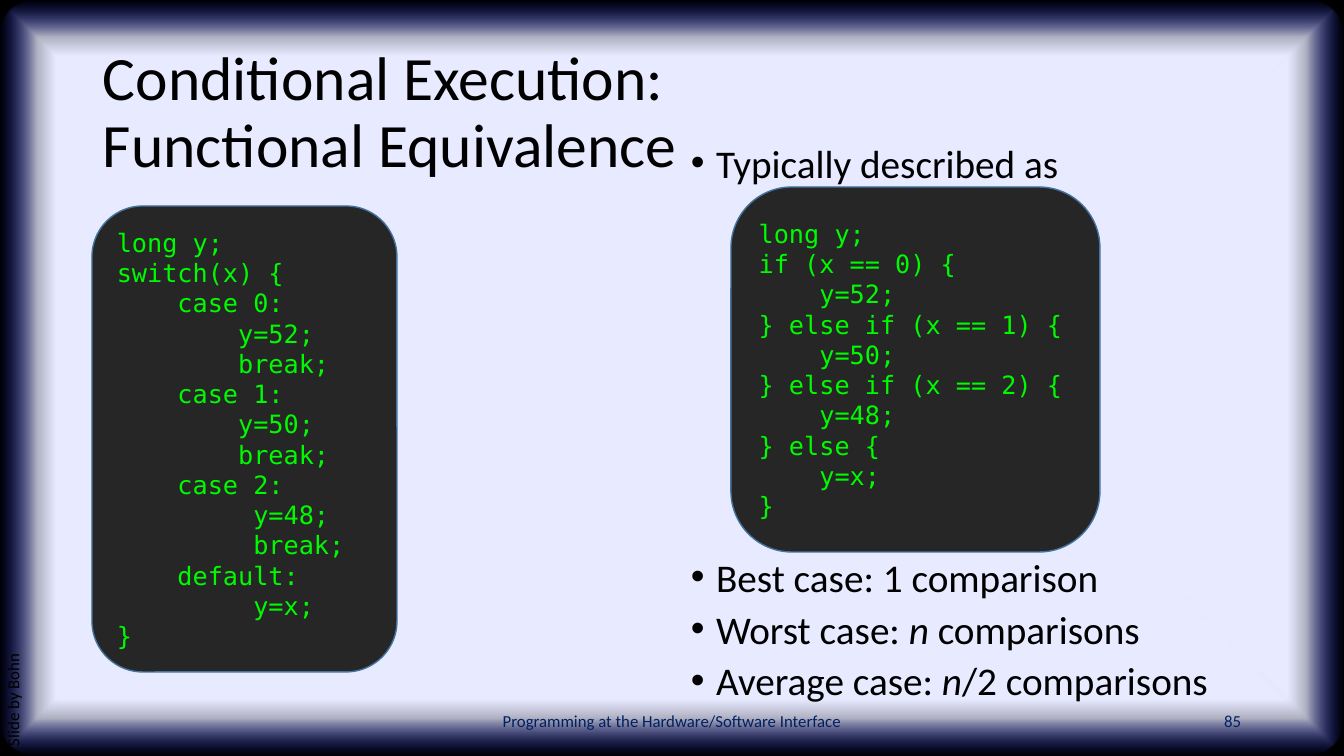
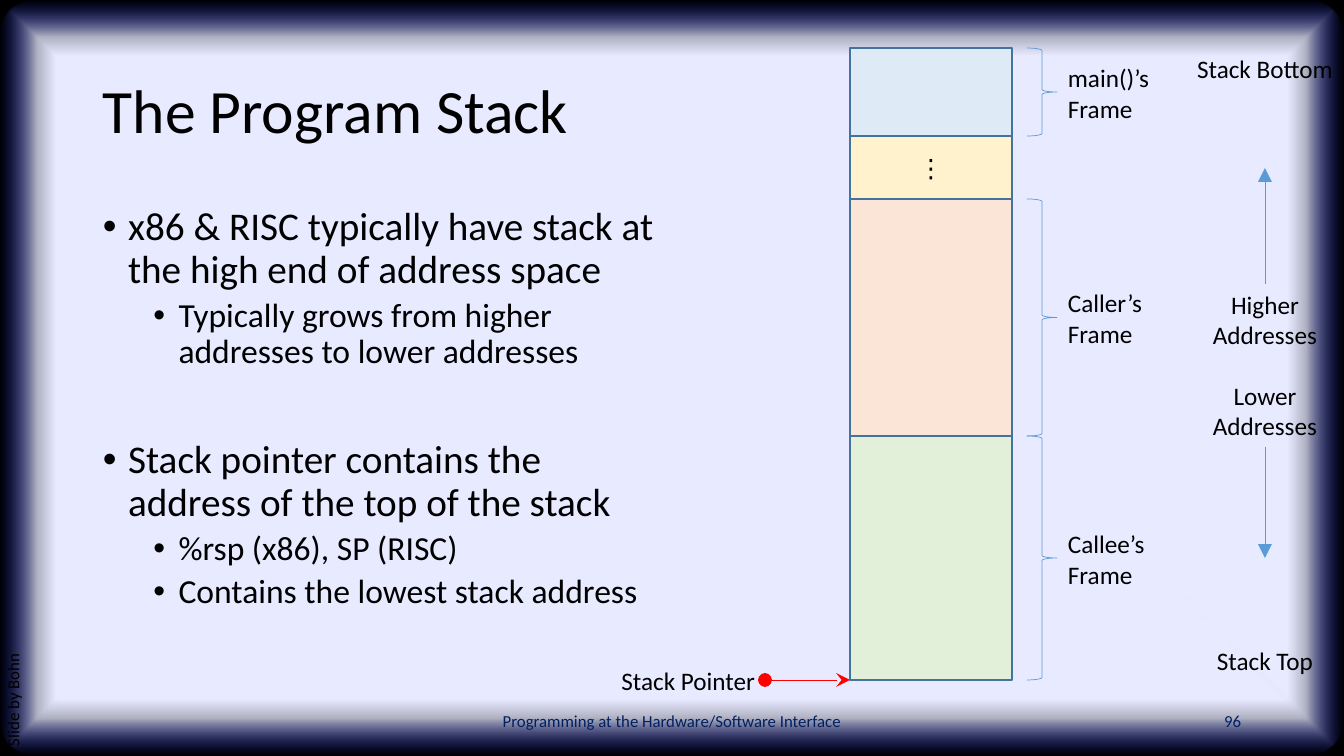
from dataclasses import dataclass
from itertools import accumulate
from typing import Optional

from lxml import etree
from pptx import Presentation
from pptx import util as u
from pptx.dml import color
from pptx.enum import shapes, text
from pptx.oxml import ns

EMU_PER_PX = 914400 / 100.8
SLIDE_W, SLIDE_H = 1344, 756
LEFT, CENTER, RIGHT = text.PP_ALIGN.LEFT, text.PP_ALIGN.CENTER, text.PP_ALIGN.RIGHT
TOP, MIDDLE = text.MSO_ANCHOR.TOP, text.MSO_ANCHOR.MIDDLE
SHAPE = shapes.MSO_SHAPE


@dataclass(frozen=True)
class Theme:
    font: str = "Calibri"
    code_font: str = "DejaVu Sans Mono"
    ink: str = "000000"
    footer_ink: str = "002060"
    page: str = "E8EAFF"
    page_edge: str = "162AFF"
    code_fill: str = "262626"
    code_ink: str = "00FA00"
    outline: str = "43739E"
    accent: str = "5B9BD5"
    pointer: str = "FF0000"
    title_pt: int = 44
    bullet_pts: tuple[int, int] = (28, 24)
    label_pt: int = 18
    small_pt: int = 12
    outline_pt: float = 1
    thin_pt: float = 0.5


THEME = Theme()


@dataclass(frozen=True)
class Box:
    left: int
    top: int
    width: int
    height: int

    def emu(self) -> list[int]:
        return [px(n) for n in (self.left, self.top, self.width, self.height)]


@dataclass(frozen=True)
class Style:
    size: int = THEME.label_pt
    ink: str = THEME.ink
    font: str = THEME.font
    align: text.PP_ALIGN = LEFT
    anchor: text.MSO_ANCHOR = MIDDLE
    spacing: Optional[float] = None


@dataclass(frozen=True)
class Bullet:
    """A bullet; words between asterisks are italic."""
    words: str
    level: int = 0
    before_pt: int = 10


@dataclass(frozen=True)
class Frame:
    height: int
    fill: str
    owner: str = ""
    mark: str = ""


@dataclass(frozen=True)
class Label:
    words: str
    top: int
    width: int
    height: int


@dataclass(frozen=True)
class Arrow:
    start: tuple[int, int]
    end: tuple[int, int]
    ink: str
    tail: str
    head: str = "none"


TITLE = Style(THEME.title_pt, spacing=0.9)
FOOTER = Style(THEME.small_pt, THEME.footer_ink, align=CENTER)
PAGE_NUMBER = Style(THEME.small_pt, THEME.footer_ink, align=RIGHT)
CREDIT = Style(THEME.small_pt, anchor=TOP, spacing=0.9)
CODE = Style(ink=THEME.code_ink, font=THEME.code_font)
CENTERED = Style(align=CENTER)

SWITCH_CODE = """long y;
switch(x) {
    case 0:
        y=52;
        break;
    case 1:
        y=50;
        break;
    case 2:
         y=48;
         break;
    default:
         y=x;
}"""

IF_CODE = """long y;
if (x == 0) {
    y=52;
} else if (x == 1) {
    y=50;
} else if (x == 2) {
    y=48;
} else {
    y=x;
}"""

COMPARISONS = [
    Bullet("Typically described as", before_pt=0),
    Bullet("Best case: 1 comparison", before_pt=269),
    Bullet("Worst case: *n* comparisons"),
    Bullet("Average case: *n*/2 comparisons"),
]

STACK_FACTS = [
    Bullet("x86 & RISC typically have stack at the high end of address space", before_pt=0),
    Bullet("Typically grows from higher addresses to lower addresses", 1, 5),
    Bullet("Stack pointer contains the address of the top of the stack", before_pt=49),
    Bullet("%rsp (x86), SP (RISC)", 1, 5),
    Bullet("Contains the lowest stack address", 1, 5),
]

STACK_LEFT, STACK_TOP, STACK_W = 850, 48, 162
FRAMES = [
    Frame(88, "DEEBF7", owner="main()’s\nFrame"),
    Frame(63, "FFF2CC", mark="⋮"),
    Frame(237, "FBE5D6", owner="Caller’s\nFrame"),
    Frame(244, "E2F0D9", owner="Callee’s\nFrame"),
]
STACK_END = STACK_TOP + sum(frame.height for frame in FRAMES)

ADDRESS_X = 1265
ADDRESS_LABELS = [
    Label("Stack Bottom", 48, 158, 40),
    Label("Higher\nAddresses", 284, 126, 72),
    Label("Lower\nAddresses", 375, 126, 72),
    Label("Stack Top", 640, 118, 40),
]
ARROWS = [
    Arrow((765, STACK_END), (STACK_LEFT, STACK_END), THEME.pointer, "stealth", "oval"),
    Arrow((ADDRESS_X, 284), (ADDRESS_X, 168), THEME.accent, "triangle"),
    Arrow((ADDRESS_X, 447), (ADDRESS_X, 558), THEME.accent, "triangle"),
]


def px(length: int) -> int:
    return round(length * EMU_PER_PX)


def rgb(value: str) -> color.RGBColor:
    return color.RGBColor.from_string(value)


def add_child(parent, tag: str, **attributes: str):
    return etree.SubElement(parent, ns.qn(tag), attributes)


def format_runs(paragraph, style: Style) -> None:
    paragraph.alignment = style.align
    if style.spacing:
        paragraph.line_spacing = style.spacing
    for run in paragraph.runs:
        run.font.name = style.font
        run.font.size = u.Pt(style.size)
        run.font.color.rgb = rgb(style.ink)


def write(shape, words: str, style: Style) -> None:
    """Fill a shape with one paragraph, or one per line for code."""
    frame = shape.text_frame
    frame.vertical_anchor = style.anchor
    if style is CODE:
        frame.text = words
    else:
        frame.paragraphs[0].text = words
    for paragraph in frame.paragraphs:
        format_runs(paragraph, style)


def add_text(slide, box: Box, words: str, style: Style, wrap: bool = True):
    area = slide.shapes.add_textbox(*box.emu())
    area.text_frame.word_wrap = wrap
    if not wrap:
        area.text_frame.auto_size = text.MSO_AUTO_SIZE.SHAPE_TO_FIT_TEXT
    write(area, words, style)
    return area


def add_shape(slide, kind: SHAPE, box: Box, fill: str = "", line: str = "",
              line_pt: float = THEME.outline_pt):
    shape = slide.shapes.add_shape(kind, *box.emu())
    shape.shadow.inherit = False
    if fill:
        shape.fill.solid()
        shape.fill.fore_color.rgb = rgb(fill)
    else:
        shape.fill.background()
    if line:
        shape.line.color.rgb = rgb(line)
        shape.line.width = u.Pt(line_pt)
    else:
        shape.line.fill.background()
    return shape


def fade_to_edge(shape) -> None:
    """Replace the empty fill by a gradient that turns transparent at the edge."""
    props = shape.element.spPr
    gradient = etree.Element(ns.qn("a:gradFill"), rotWithShape="1")
    stops = add_child(gradient, "a:gsLst")
    for percent, ink, alpha in ((85, THEME.page, 100), (90, THEME.page, 75),
                                (100, THEME.page_edge, 0)):
        stop = add_child(stops, "a:gs", pos=str(percent * 1000))
        add_child(add_child(stop, "a:srgbClr", val=ink), "a:alpha", val=str(alpha * 1000))
    shading = add_child(gradient, "a:path", path="shape")
    add_child(shading, "a:fillToRect", **dict.fromkeys("ltrb", "50000"))
    props.replace(props.find(ns.qn("a:noFill")), gradient)


def add_bullets(slide, box: Box, bullets: list[Bullet], spacing: float) -> None:
    frame = add_text(slide, box, "", Style(anchor=TOP)).text_frame
    for index, bullet in enumerate(bullets):
        paragraph = frame.add_paragraph() if index else frame.paragraphs[0]
        props = paragraph._p.get_or_add_pPr()
        props.set("marL", str(u.Inches(0.25 + 0.5 * bullet.level)))
        props.set("indent", str(-u.Inches(0.25)))
        add_child(props, "a:buFont", typeface="Arial")
        add_child(props, "a:buChar", char="•")
        paragraph.level = bullet.level
        paragraph.space_before = u.Pt(bullet.before_pt)
        for part, words in enumerate(bullet.words.split("*")):
            run = paragraph.add_run()
            run.text = words
            run.font.italic = part % 2 == 1
        format_runs(paragraph, Style(THEME.bullet_pts[bullet.level], spacing=spacing))


def add_arrow(slide, arrow: Arrow) -> None:
    ends = [px(n) for n in arrow.start + arrow.end]
    line = slide.shapes.add_connector(shapes.MSO_CONNECTOR.STRAIGHT, *ends)
    line.line.color.rgb = rgb(arrow.ink)
    line.line.width = u.Pt(THEME.thin_pt)
    props = line.element.spPr
    outline = props.find(ns.qn("a:ln"))
    add_child(outline, "a:headEnd", type=arrow.head, w="lg", len="lg")
    add_child(outline, "a:tailEnd", type=arrow.tail, w="lg", len="lg")
    add_child(props, "a:effectLst")


def add_code(slide, box: Box, code: str) -> None:
    panel = add_shape(slide, SHAPE.ROUNDED_RECTANGLE, box, THEME.code_fill, THEME.outline)
    write(panel, code, CODE)


def add_base_slide(deck, title: str, number: int):
    """Add a slide with the shared backdrop, title and footers."""
    slide = deck.slides.add_slide(deck.slide_layouts[6])
    whole = Box(0, 0, SLIDE_W, SLIDE_H)
    add_shape(slide, SHAPE.RECTANGLE, whole, THEME.ink)
    page = add_shape(slide, SHAPE.ROUNDED_RECTANGLE, whole)
    page.adjustments[0] = 0.05
    fade_to_edge(page)
    add_text(slide, Box(93, 41, 1160, 146), title, TITLE)
    add_text(slide, Box(445, 701, 454, 40),
             "Programming at the Hardware/Software Interface", FOOTER)
    add_text(slide, Box(949, 701, 302, 40), str(number), PAGE_NUMBER)
    add_text(slide, Box(-246, 470, 532, 40), "Slide by Bohn", CREDIT).rotation = 270
    return slide


def build_equivalence(deck) -> None:
    slide = add_base_slide(deck, "Conditional Execution:\nFunctional Equivalence", 85)
    add_bullets(slide, Box(681, 143, 572, 598), COMPARISONS, 0.8)
    add_code(slide, Box(92, 206, 305, 466), SWITCH_CODE)
    add_code(slide, Box(731, 187, 369, 365), IF_CODE)


def build_stack(deck) -> None:
    slide = add_base_slide(deck, "The Program Stack", 96)
    add_bullets(slide, Box(93, 202, 572, 480), STACK_FACTS, 0.9)
    tops = accumulate((frame.height for frame in FRAMES), initial=STACK_TOP)
    for frame, top in zip(FRAMES, tops):
        cell = add_shape(slide, SHAPE.RECTANGLE, Box(STACK_LEFT, top, STACK_W, frame.height),
                         frame.fill, THEME.outline)
        if frame.mark:
            write(cell, frame.mark, CENTERED)
        if frame.owner:
            add_shape(slide, SHAPE.RIGHT_BRACE, Box(1027, top, 30, frame.height),
                      line=THEME.accent, line_pt=THEME.thin_pt)
            add_text(slide, Box(1058, top + frame.height // 2 - 35, 120, 72),
                     frame.owner, Style())
    add_text(slide, Box(610, 660, 155, 40), "Stack Pointer", Style(align=RIGHT), wrap=False)
    for label in ADDRESS_LABELS:
        box = Box(ADDRESS_X - label.width // 2, label.top, label.width, label.height)
        add_text(slide, box, label.words, Style(align=CENTER, anchor=TOP), wrap=False)
    for arrow in ARROWS:
        add_arrow(slide, arrow)


def main() -> None:
    deck = Presentation()
    deck.slide_width, deck.slide_height = px(SLIDE_W), px(SLIDE_H)
    build_equivalence(deck)
    build_stack(deck)
    deck.save("out.pptx")


if __name__ == "__main__":
    main()
